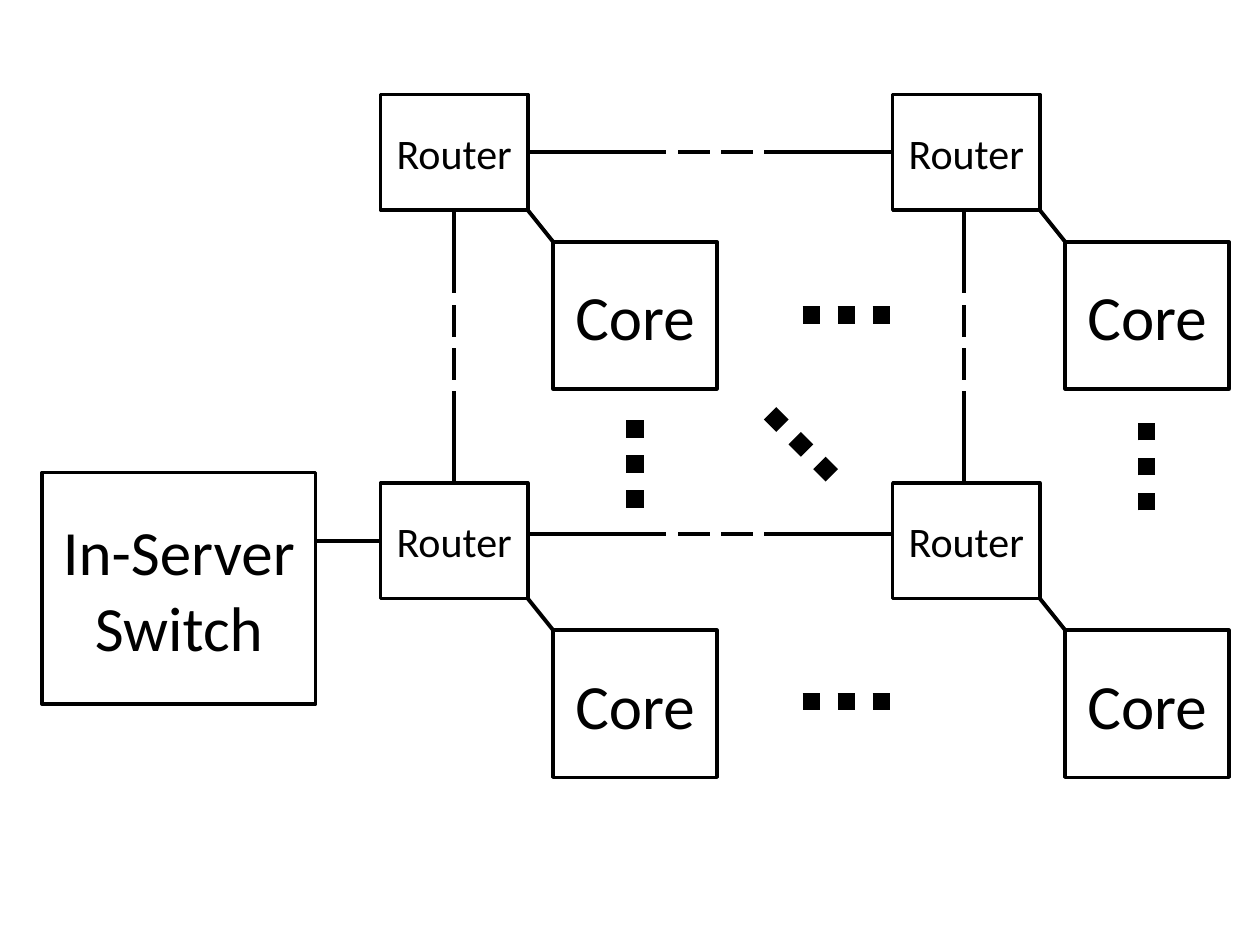
"""Draw a grid of routers and cores attached to an in-server switch."""
from dataclasses import dataclass
from itertools import product

from pptx import Presentation
from pptx.dml.color import RGBColor
from pptx.enum.dml import MSO_LINE
from pptx.enum.shapes import MSO_CONNECTOR, MSO_SHAPE
from pptx.enum.text import MSO_ANCHOR, PP_ALIGN
from pptx.oxml.ns import qn
from pptx.slide import Slide
from pptx.util import Pt
from lxml.etree import SubElement

BLACK = RGBColor(0x00, 0x00, 0x00)
WHITE = RGBColor(0xFF, 0xFF, 0xFF)


@dataclass
class Diagram:
    s: Slide
    font: str = "Calibri"
    border: float = 2
    wire: float = 2.25
    dot: float = 10

    def box(self, text, x, y, w, h, size):
        sp = self.s.shapes.add_shape(MSO_SHAPE.RECTANGLE, Pt(x), Pt(y), Pt(w), Pt(h))
        sp.shadow.inherit = False
        sp.fill.solid()
        sp.fill.fore_color.rgb = WHITE
        sp.line.color.rgb = BLACK
        sp.line.width = Pt(self.border)
        tf = sp.text_frame
        for name, value in {"word_wrap": True, "vertical_anchor": MSO_ANCHOR.MIDDLE}.items():
            setattr(tf, name, value)
        p = tf.paragraphs[0]
        p.alignment = PP_ALIGN.CENTER
        r = p.add_run()
        r.text = text
        for name, value in {"name": self.font, "size": Pt(size)}.items():
            setattr(r.font, name, value)
        r.font.color.rgb = BLACK

    def line(self, x1, y1, x2, y2, width=None, dash=None):
        cn = self.s.shapes.add_connector(
            MSO_CONNECTOR.STRAIGHT, Pt(x1), Pt(y1), Pt(x2), Pt(y2))
        cn.line.color.rgb = BLACK
        for name, value in {"width": Pt(width or self.wire), "dash_style": dash}.items():
            setattr(cn.line, name, value)
        SubElement(cn._element.spPr, qn("a:effectLst"))

    def dots(self, x1, y1, x2, y2):
        self.line(x1, y1, x2, y2, self.dot, MSO_LINE.ROUND_DOT)

    def broken_link(self, at, stops, vertical=False):
        start, solid_end, dash_start, dash_end, solid_start, end = stops
        for a, b, dash in ((start, solid_end, None), (end, solid_start, None),
                           (dash_start, dash_end, MSO_LINE.LONG_DASH)):
            ends = (at, a, at, b) if vertical else (a, at, b, at)
            self.line(*ends, dash=dash)


def main():
    prs = Presentation()
    prs.slide_width, prs.slide_height = Pt(720), Pt(540)
    d = Diagram(prs.slides.add_slide(prs.slide_layouts[6]))

    columns, rows = (217.5, 510.1), (54, 275.9)
    router_w, router_h = 84.1, 66.1
    core_w, core_h = 93.6, 84.1
    core_dx, core_dy = 98.6, 84.2
    for y, x in product(rows, columns):
        d.box("Core", x + core_dx, y + core_dy, core_w, core_h, 36)
        d.box("Router", x, y, router_w, router_h, 24)
        d.line(x + router_w, y + router_h, x + core_dx, y + core_dy)
    d.box("In-Server Switch", 24, 270, 156.4, 132.4, 36)

    for y in (180, 401):
        d.dots(458.6, y, 513.4, y)
    for x, y in ((362.9, 290.2), (655.2, 291.6)):
        d.dots(x, y, x, y - 54.4)
    d.dots(440, 236.2, 478, 274.3)

    across = (columns[0] + router_w, 362.9, 362.9, 458.6, 450, columns[1])
    down = (rows[0] + router_h, 162, 149.8, 246.2, 236.9, rows[1])
    for y in (87.1, 305.3):
        d.broken_link(y, across)
    for x in (259.5, 550.8):
        d.broken_link(x, down, vertical=True)
    d.line(columns[0], 309, 180.4, 309)

    prs.save("out.pptx")


if __name__ == "__main__":
    main()
